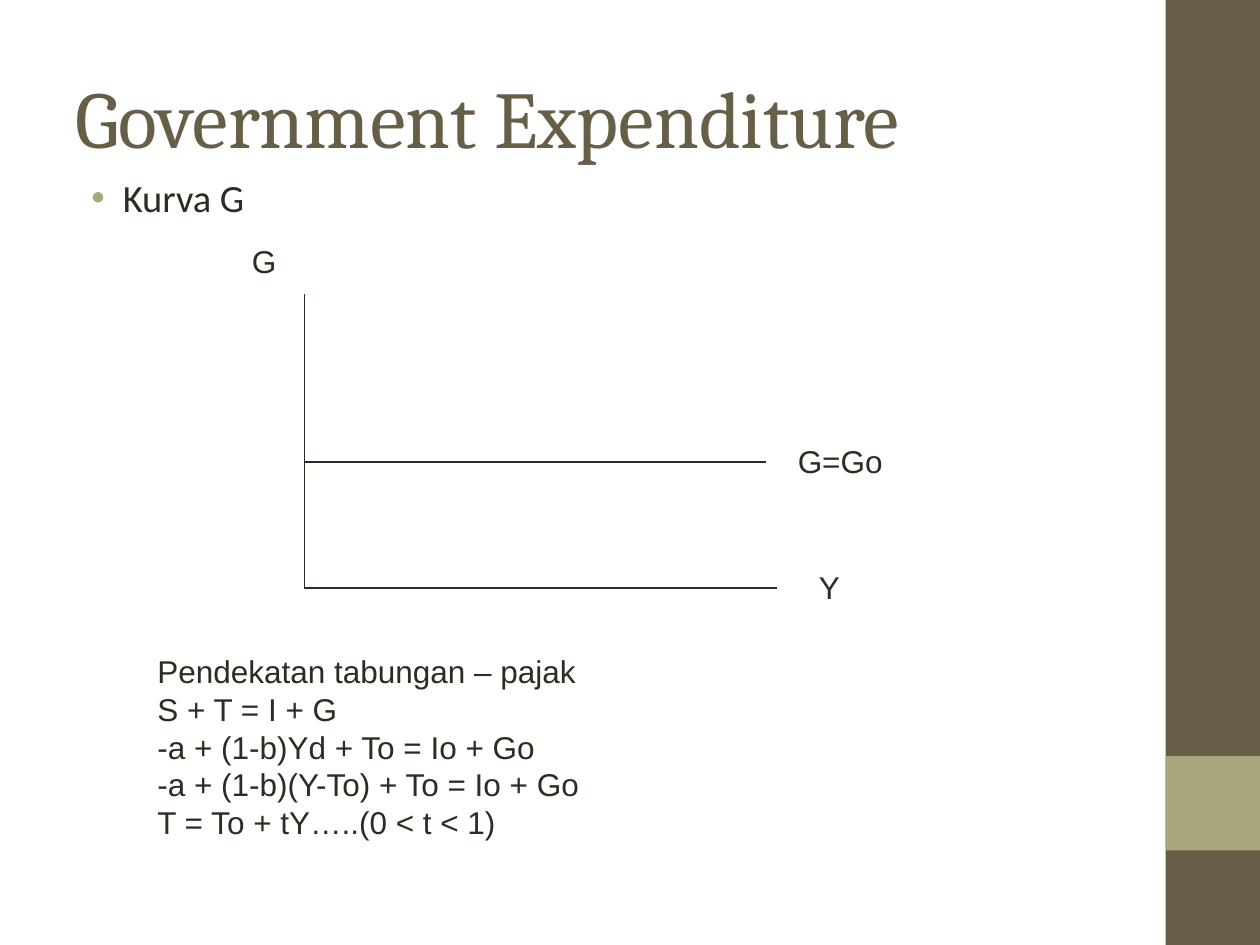
from dataclasses import dataclass

from lxml.etree import SubElement
from pptx import Presentation
from pptx.dml.color import RGBColor as Color
from pptx.enum.shapes import MSO_CONNECTOR as Connector, MSO_SHAPE as Shape
from pptx.enum.text import MSO_ANCHOR as Anchor, MSO_AUTO_SIZE as AutoSize, PP_ALIGN as Align
from pptx.oxml.ns import qn
from pptx.util import Pt


@dataclass(frozen=True)
class Theme:
    brown: str = "675E47"
    olive: str = "A9A57C"
    ink: str = "2F2B20"
    title_font: str = "Cambria"
    body_font: str = "Calibri"
    label_font: str = "Arial"
    title_size: float = 46
    body_size: float = 22
    label_size: float = 18
    line_width: float = 0.75


class SlideBuilder:
    """Draws styled elements on one slide, with all lengths in points."""

    def __init__(self, slide, theme):
        self.slide = slide
        self.theme = theme

    def place(self, shape, left, top, width, height):
        shape.left, shape.top = Pt(left), Pt(top)
        shape.width, shape.height = Pt(width), Pt(height)

    def add_run(self, paragraph, text, font, size, color):
        run = paragraph.add_run()
        run.text = text
        run.font.name = font
        run.font.size = Pt(size)
        run.font.color.rgb = Color.from_string(color)

    def band(self, left, top, width, height, color):
        shape = self.slide.shapes.add_shape(
            Shape.RECTANGLE, Pt(left), Pt(top), Pt(width), Pt(height))
        shape.shadow.inherit = False
        shape.fill.solid()
        shape.fill.fore_color.rgb = Color.from_string(color)
        shape.line.fill.background()

    def title(self, text, *box):
        shape = self.slide.shapes.title
        self.place(shape, *box)
        frame = shape.text_frame
        frame.auto_size = AutoSize.NONE
        frame.vertical_anchor = Anchor.MIDDLE
        paragraph = frame.paragraphs[0]
        paragraph.alignment = Align.LEFT
        theme = self.theme
        self.add_run(paragraph, text, theme.title_font, theme.title_size, theme.brown)

    def bullet(self, text, *box):
        shape = self.slide.placeholders[1]
        self.place(shape, *box)
        frame = shape.text_frame
        frame.auto_size = AutoSize.NONE
        paragraph = frame.paragraphs[0]
        paragraph.space_before = Pt(0)
        theme = self.theme
        properties = paragraph._p.get_or_add_pPr()
        properties.set("marL", str(Pt(27)))
        properties.set("indent", str(-Pt(18)))
        bullet_color = SubElement(properties, qn("a:buClr"))
        SubElement(bullet_color, qn("a:srgbClr"), val=theme.olive)
        SubElement(properties, qn("a:buFont"), typeface=theme.label_font)
        SubElement(properties, qn("a:buChar"), char="•")
        self.add_run(paragraph, text, theme.body_font, theme.body_size, theme.ink)

    def line(self, start, end):
        connector = self.slide.shapes.add_connector(
            Connector.STRAIGHT, *map(Pt, start + end))
        connector.line.color.rgb = Color.from_string(self.theme.ink)
        connector.line.width = Pt(self.theme.line_width)
        SubElement(connector._element.spPr, qn("a:effectLst"))

    def label(self, lines, left, top, width, height=28.8):
        shape = self.slide.shapes.add_textbox(Pt(left), Pt(top), Pt(width), Pt(height))
        frame = shape.text_frame
        frame.word_wrap = False
        frame.auto_size = AutoSize.SHAPE_TO_FIT_TEXT
        theme = self.theme
        for index, text in enumerate(lines):
            paragraph = frame.add_paragraph() if index else frame.paragraphs[0]
            self.add_run(paragraph, text, theme.label_font, theme.label_size, theme.ink)


def main():
    theme = Theme()
    presentation = Presentation()
    presentation.slide_width, presentation.slide_height = Pt(720), Pt(540)
    slide = presentation.slides.add_slide(presentation.slide_layouts[1])
    builder = SlideBuilder(slide, theme)

    builder.band(666, 0, 54, 540, theme.brown)
    builder.band(666, 432, 54, 54, theme.olive)
    builder.title("Government Expenditure", 36, 21.6, 600, 90)
    builder.bullet("Kurva G", 36, 96, 648, 386.4)

    origin = (174, 336)
    builder.line((174, 168), origin)
    builder.line(origin, (444, 336))
    builder.line((174, 264), (438, 264))

    builder.label(["G=Go"], 448.8, 249, 66)
    builder.label(["Y"], 460.8, 321, 28)
    builder.label(["G"], 136.8, 134.8, 30)
    builder.label([
        "Pendekatan tabungan – pajak",
        "S + T = I + G",
        "-a + (1-b)Yd + To = Io + Go",
        "-a + (1-b)(Y-To) + To = Io + Go",
        "T = To + tY…..(0 < t < 1)",
    ], 82.8, 369, 264, 136.8)

    presentation.save("out.pptx")


if __name__ == "__main__":
    main()
